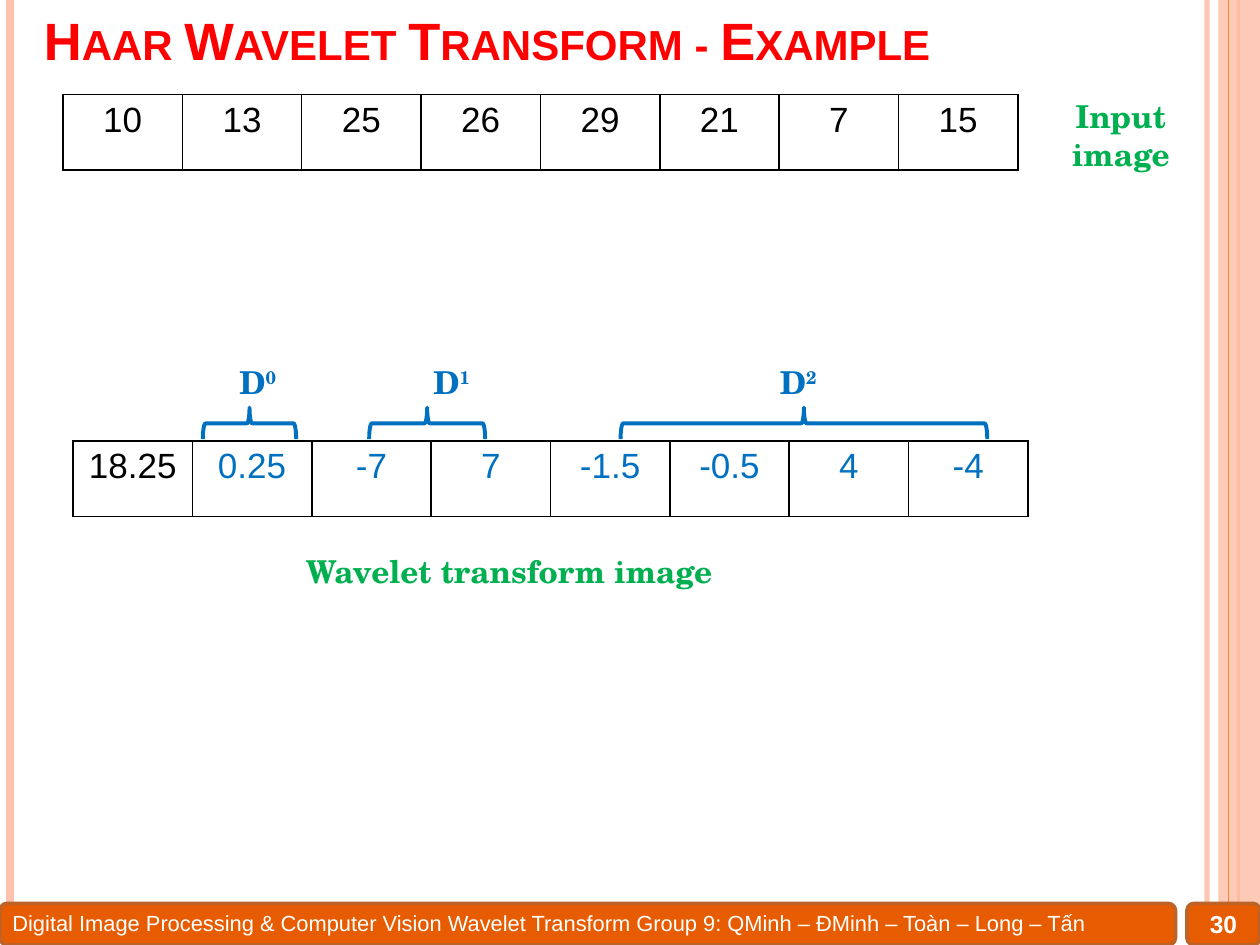
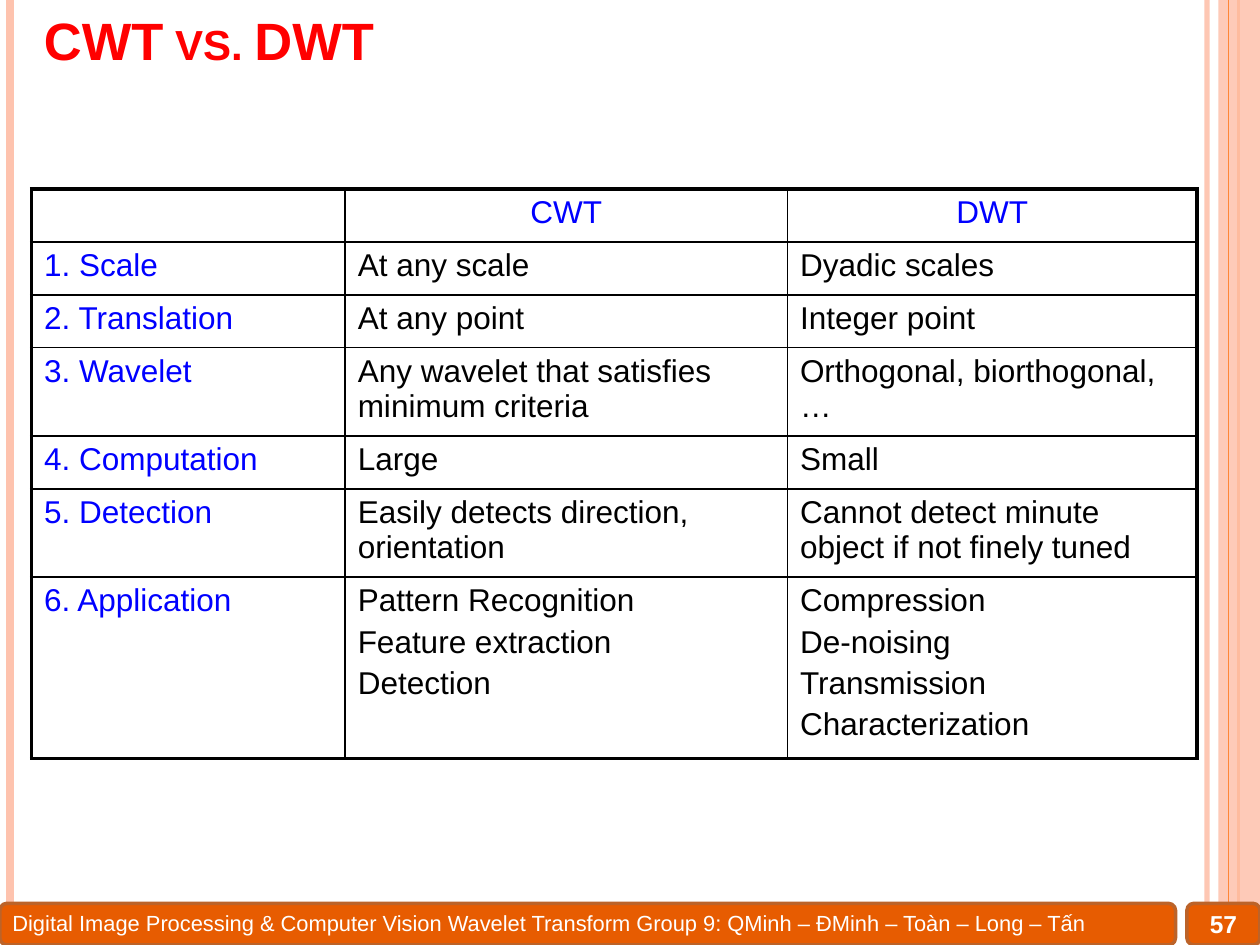
from lxml.etree import SubElement
from pptx import Presentation
from pptx.dml.color import RGBColor
from pptx.enum.shapes import MSO_CONNECTOR, MSO_SHAPE
from pptx.enum.text import MSO_ANCHOR, PP_ALIGN
from pptx.oxml.ns import qn
from pptx.util import Inches, Pt

HUES = {
    "pink": "FEC3AE", "orange": "FE8637", "bar": "E75C01", "edge": "BC6329",
    "title": "FF0000", "white": "FFFFFF", "black": "000000",
    "green": "00B050", "blue": "0070C0", "head": "0000FF",
}
SANS, SERIF = "Arial", "TeX Gyre Schola"
WIDE, HIGH = 10, 7.5
FOOT = ("Digital Image Processing & Computer Vision Wavelet Transform "
        "Group 9: QMinh – ĐMinh – Toàn – Long – Tấn")
FOOT_TOP = 7.17

RULES = [(9.58, "pink", 3, 93), (0.08, "pink", 4.5, 100), (9.83, "orange", 1.5, 100)]
BAND_RULE = (9.75, "orange", 0.75, 100)
BARS = [(9.42, 0.58), (0, 9.33)]

INPUT = ["10", "13", "25", "26", "29", "21", "7", "15"]
OUTPUT = ["18.25", "0.25", "-7", "7", "-1.5", "-0.5", "4", "-4"]
ROW_WIDE, ROW_HIGH = 7.58, 0.6
LEVELS = [("0", 1.79, 1.98, 0.74), ("1", 3.33, 3.39, 0.92), ("2", 6.08, 6.38, 2.91)]
BRACE_MID, BRACE_HIGH = 3.36, 0.25

COLS = [2.49, 3.51, 3.25]
COMPARE = [
    (0.42, ["", "CWT", "DWT"]),
    (0.42, ["1. Scale", "At any scale", "Dyadic scales"]),
    (0.42, ["2. Translation", "At any point", "Integer point"]),
    (0.66, ["3. Wavelet", "Any wavelet that satisfies minimum criteria",
            "Orthogonal, biorthogonal, …"]),
    (0.42, ["4. Computation", "Large", "Small"]),
    (0.66, ["5. Detection", "Easily detects direction, orientation",
            "Cannot detect minute object if not finely tuned"]),
    (1.4, ["6. Application", "Pattern Recognition\nFeature extraction\nDetection",
           "Compression\nDe-noising\nTransmission\nCharacterization"]),
]


def rgb(hue):
    return RGBColor.from_string(HUES[hue])


def box(*at):
    return [Inches(n) for n in at]


def fade(part, alpha):
    if alpha < 100:
        tint = next(part.iter(qn("a:srgbClr")))
        SubElement(tint, qn("a:alpha"), val=str(alpha * 1000))


def style(para, size, hue, face=SANS, bold=False, mid=False):
    font = para.font
    font.size, font.name, font.bold = Pt(size), face, bold
    font.color.rgb = rgb(hue)
    para.alignment = PP_ALIGN.CENTER if mid else PP_ALIGN.LEFT


def label(slide, at, text, size, hue, anchor=MSO_ANCHOR.TOP, wrap=True, **look):
    frame = slide.shapes.add_textbox(*box(*at)).text_frame
    frame.word_wrap = wrap
    frame.vertical_anchor = anchor
    para = frame.paragraphs[0]
    para.text = text
    style(para, size, hue, **look)
    return para


def rule(slide, x, hue, width, alpha):
    line = slide.shapes.add_connector(MSO_CONNECTOR.STRAIGHT, *box(x, 0, x, HIGH))
    line.line.color.rgb = rgb(hue)
    line.line.width = Pt(width)
    props = line._element.spPr
    fade(props, alpha)
    SubElement(props, qn("a:effectLst"))


def block(slide, kind, at, fill=None, edge=None, width=1):
    shape = slide.shapes.add_shape(kind, *box(*at))
    shape.shadow.inherit = False
    if fill:
        shape.fill.solid()
        shape.fill.fore_color.rgb = rgb(fill)
    else:
        shape.fill.background()
    if edge:
        shape.line.color.rgb = rgb(edge)
        shape.line.width = Pt(width)
    else:
        shape.line.fill.background()
    return shape


def start(deck, title, page):
    slide = deck.slides.add_slide(deck.slide_layouts[6])
    for item in RULES:
        rule(slide, *item)
    band = block(slide, MSO_SHAPE.RECTANGLE, (9.67, 0, 0.33, HIGH), "pink")
    fade(band._element.spPr, 87)
    rule(slide, *BAND_RULE)
    for x, width in BARS:
        block(slide, MSO_SHAPE.ROUNDED_RECTANGLE, (x, FOOT_TOP, width, 0.33),
              "bar", "edge", 2)
    label(slide, (0, FOOT_TOP, 9.42, 0.31), FOOT, 12.5, "white")
    head = label(slide, (0.25, 0.08, 9.25, 0.53), title, 30, "title",
                 MSO_ANCHOR.BOTTOM, bold=True)
    head._p.pPr.find(qn("a:defRPr")).set("cap", "small")
    label(slide, (9.42, FOOT_TOP, 0.58, 0.32), page, 14, "white",
          MSO_ANCHOR.MIDDLE, bold=True, mid=True)
    return slide


def border(cell, widths):
    props = cell._tc.get_or_add_tcPr()
    for side, width in zip("LRTB", widths):
        line = SubElement(props, qn("a:ln" + side), w=str(Pt(width)))
        fill = SubElement(line, qn("a:solidFill"))
        SubElement(fill, qn("a:srgbClr"), val=HUES["black"])
    cell.fill.background()


def grid(slide, x, y, cols, rows, texts, size, look, rim=1):
    table = slide.shapes.add_table(
        len(rows), len(cols), *box(x, y, sum(cols), sum(rows))).table
    table.first_row = table.horz_banding = False
    for col, width in zip(table.columns, cols):
        col.width = Inches(width)
    for row, height in zip(table.rows, rows):
        row.height = Inches(height)
    for r, line in enumerate(texts):
        for c, text in enumerate(line):
            cell = table.cell(r, c)
            outer = (c == 0, c == len(cols) - 1, r == 0, r == len(rows) - 1)
            border(cell, [rim if out else 1 for out in outer])
            cell.text = text
            hue, mid = look(r, c)
            for n, para in enumerate(cell.text_frame.paragraphs):
                style(para, size, hue, mid=mid)
                if n:
                    para.space_before = Pt(3.4)


def strip(slide, x, y, values, look):
    cols = [ROW_WIDE / len(values)] * len(values)
    grid(slide, x, y, cols, [ROW_HIGH], [values], 20, look)


def haar(deck):
    slide = start(deck, "Haar Wavelet Transform - Example", "30")
    note = dict(face=SERIF, bold=True, mid=True)
    strip(slide, 0.5, 0.75, INPUT, lambda r, c: ("black", True))
    label(slide, (8.35, 0.72, 1.09, 0.71), "Input image", 18, "green", **note)
    strip(slide, 0.58, 3.5, OUTPUT, lambda r, c: ("blue" if c else "black", True))
    label(slide, (0.83, 4.33, 6.42, 0.4), "Wavelet transform image", 18, "green", **note)
    for power, x, mid, span in LEVELS:
        para = label(slide, (x, 2.83, 0.51, 0.4), "D", 18, "blue", wrap=False, **note)
        run = para.add_run()
        run.text = power
        run._r.get_or_add_rPr().set("baseline", "30000")
        at = (mid - BRACE_HIGH / 2, BRACE_MID - span / 2, BRACE_HIGH, span)
        brace = block(slide, MSO_SHAPE.LEFT_BRACE, at, edge="blue", width=2.25)
        brace.rotation = 90


def versus(deck):
    slide = start(deck, "CWT vs. DWT", "57")
    rows, texts = zip(*COMPARE)
    grid(slide, 0.25, 1.5, COLS, rows, texts, 18,
         lambda r, c: ("black" if r and c else "head", r == 0), rim=2.25)


def main():
    deck = Presentation()
    deck.slide_width, deck.slide_height = box(WIDE, HIGH)
    haar(deck)
    versus(deck)
    deck.save("out.pptx")


if __name__ == "__main__":
    main()
